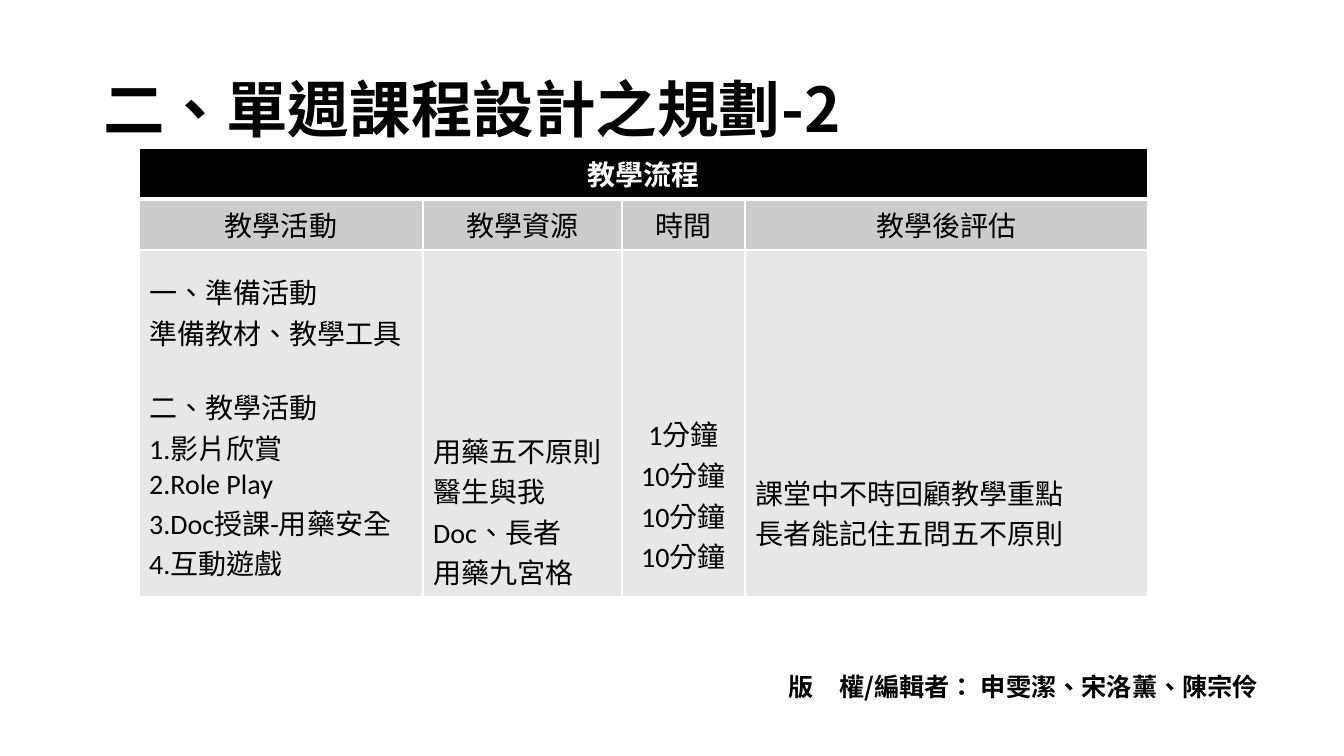
from dataclasses import dataclass

from lxml.etree import SubElement
from pptx import Presentation
from pptx.dml.color import RGBColor
from pptx.enum.text import MSO_ANCHOR, MSO_AUTO_SIZE, PP_ALIGN
from pptx.oxml import parse_xml
from pptx.oxml.ns import nsdecls, qn
from pptx.util import Pt

SCALE = 914400 / 100.8
HAN = "Noto Sans CJK SC"
LATIN = "Calibri"
BLACK, WHITE, GREY, PALE = "000000", "FFFFFF", "CCCCCC", "E7E7E7"


@dataclass
class Column:
    head: str
    width: int
    lines: list[str]
    align: PP_ALIGN
    bottom: int


COLUMNS = [
    Column("教學活動", 284,
           ["一、準備活動", "準備教材、教學工具", "二、教學活動", "1.影片欣賞",
            "2.Role Play", "3.Doc授課-用藥安全", "4.互動遊戲"],
           PP_ALIGN.JUSTIFY, 14),
    Column("教學資源", 199, ["用藥五不原則", "醫生與我", "Doc、長者", "用藥九宮格"],
           PP_ALIGN.JUSTIFY, 5),
    Column("時間", 123, ["1分鐘", "10分鐘", "10分鐘", "10分鐘"], PP_ALIGN.CENTER, 21),
    Column("教學後評估", 403, ["課堂中不時回顧教學重點", "長者能記住五問五不原則"],
           PP_ALIGN.JUSTIFY, 44),
]
ROWS = [51, 51, 347]


def px(value: int) -> int:
    return round(value * SCALE)


def tint(code: str) -> RGBColor:
    return RGBColor.from_string(code)


def write(frame, lines: list[str], size: int = 20, face: str = LATIN,
          color: str = BLACK, bold: bool = False,
          align: PP_ALIGN = PP_ALIGN.LEFT, spacing: float = 1.0) -> None:
    for index, line in enumerate(lines):
        para = frame.paragraphs[0] if index == 0 else frame.add_paragraph()
        para.alignment = align
        para.line_spacing = spacing
        run = para.add_run()
        run.text = line
        run.font.size = Pt(size)
        run.font.bold = bold
        run.font.color.rgb = tint(color)
        run.font.name = face
        props = run._r.get_or_add_rPr()
        props.set("lang", "zh-TW")
        SubElement(props, qn("a:ea")).set("typeface", HAN)


def place(shape, left: int, top: int, width: int, height: int) -> None:
    shape.left, shape.top = px(left), px(top)
    shape.width, shape.height = px(width), px(height)


def style(cell, fill: str, bottom: int = 1) -> None:
    cell.fill.solid()
    cell.fill.fore_color.rgb = tint(fill)
    cell.vertical_anchor = MSO_ANCHOR.MIDDLE
    props = cell._tc.get_or_add_tcPr()
    sides = {"L": 1, "R": 1, "T": 1, "B": bottom}
    for index, (side, width) in enumerate(sides.items()):
        props.insert(index, parse_xml(
            f'<a:ln{side} {nsdecls("a")} w="{Pt(width)}"><a:solidFill>'
            f'<a:srgbClr val="{WHITE}"/></a:solidFill></a:ln{side}>'))


def add_title(slide) -> None:
    title = slide.shapes.title
    place(title, 93, 40, 1159, 146)
    frame = title.text_frame
    frame.auto_size = MSO_AUTO_SIZE.NONE
    frame.vertical_anchor = MSO_ANCHOR.MIDDLE
    write(frame, ["二、單週課程設計之規劃-2"], size=44, face=HAN, bold=True, spacing=0.9)


def add_plan(slide) -> None:
    width = sum(col.width for col in COLUMNS)
    table = slide.shapes.add_table(
        len(ROWS), len(COLUMNS), px(139), px(148), px(width), px(sum(ROWS))).table
    for row, height in zip(table.rows, ROWS):
        row.height = px(height)
    for index, col in enumerate(COLUMNS):
        table.columns[index].width = px(col.width)
        top, head, body = (table.cell(row, index) for row in range(len(ROWS)))
        style(top, BLACK, bottom=3)
        style(head, GREY)
        style(body, PALE)
        write(head.text_frame, [col.head], align=PP_ALIGN.CENTER)
        write(body.text_frame, col.lines, align=col.align)
        body.vertical_anchor = MSO_ANCHOR.BOTTOM
        body.margin_bottom = px(col.bottom)
    table.cell(1, 0).text_frame.word_wrap = True
    table.cell(2, 0).text_frame.paragraphs[2].space_before = Pt(24)
    banner = table.cell(0, 0)
    banner.merge(table.cell(0, len(COLUMNS) - 1))
    write(banner.text_frame, ["教學流程"], color=WHITE, bold=True, align=PP_ALIGN.CENTER)


def add_credit(slide) -> None:
    box = slide.shapes.add_textbox(px(779), px(666), px(577), px(40))
    box.text_frame.word_wrap = True
    write(box.text_frame, ["版　權/編輯者： 申雯潔、宋洛薰、陳宗伶"], size=18, face=HAN, bold=True)


def main() -> None:
    deck = Presentation()
    deck.slide_width, deck.slide_height = px(1344), px(756)
    slide = deck.slides.add_slide(deck.slide_layouts[5])
    add_title(slide)
    add_credit(slide)
    add_plan(slide)
    deck.save("out.pptx")


if __name__ == "__main__":
    main()
